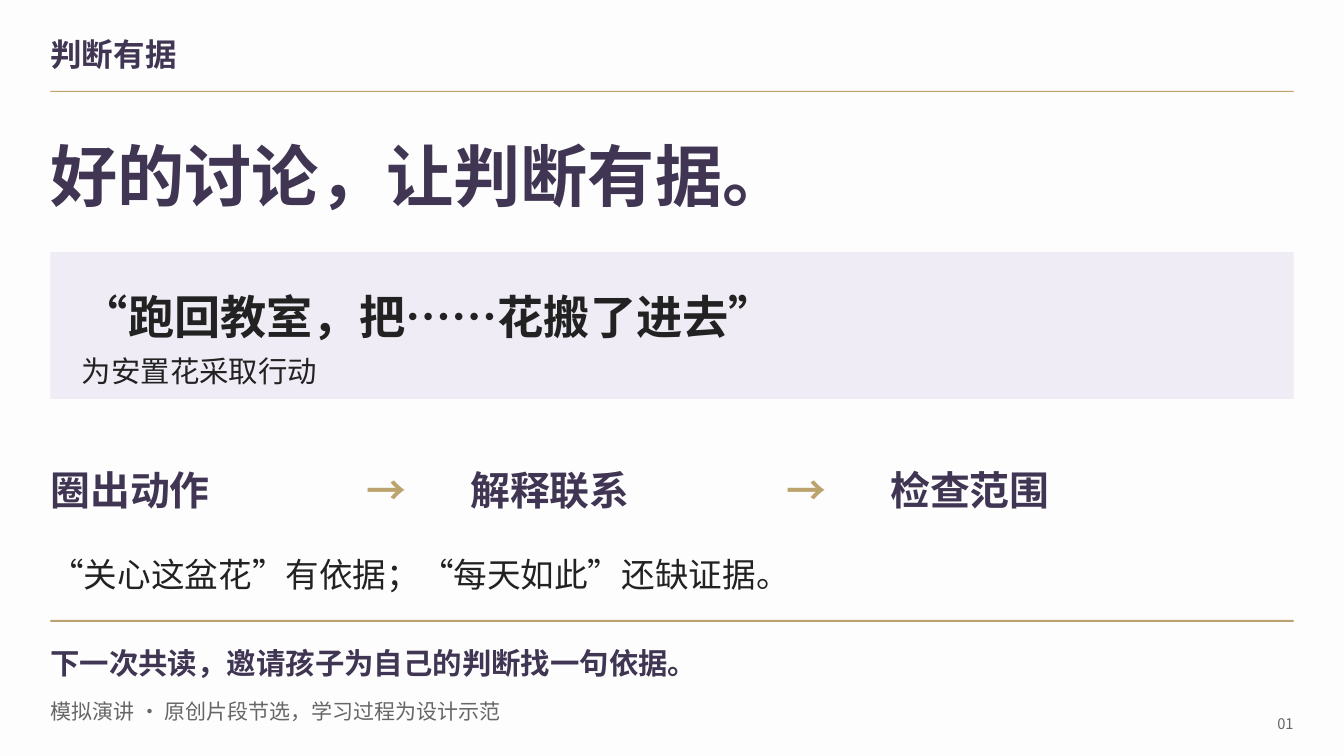
from lxml.etree import SubElement
from pptx import Presentation
from pptx.dml.color import RGBColor
from pptx.enum.lang import MSO_LANGUAGE_ID
from pptx.enum.shapes import MSO_SHAPE
from pptx.enum.text import MSO_ANCHOR, MSO_AUTO_SIZE, PP_ALIGN
from pptx.oxml.ns import qn
from pptx.util import Pt

PAPER = RGBColor(0xFD, 0xFD, 0xFE)
PLUM = RGBColor(0x40, 0x36, 0x53)
GOLD = RGBColor(0xBC, 0xA3, 0x6D)
LILAC = RGBColor(0xF0, 0xEC, 0xF5)
INK = RGBColor(0x22, 0x22, 0x22)
GREY = RGBColor(0x66, 0x66, 0x66)

FONT = "Noto Sans CJK SC"
LEADING = 1.35
LEFT, WIDTH = 36, 888
STEPS = ("圈出动作", "解释联系", "检查范围")


def set_values(target, values):
    for name, value in values.items():
        setattr(target, name, value)


def place(shape, left, top, width, height):
    set_values(shape, {"left": Pt(left), "top": Pt(top),
                       "width": Pt(width), "height": Pt(height)})


def write(box, text, size, color, bold=False, middle=False, align=PP_ALIGN.LEFT):
    frame = box.text_frame
    set_values(frame, {
        "margin_left": 0, "margin_top": 0, "margin_right": 0, "margin_bottom": 0,
        "word_wrap": True, "auto_size": MSO_AUTO_SIZE.NONE,
        "vertical_anchor": MSO_ANCHOR.MIDDLE if middle else MSO_ANCHOR.TOP,
    })
    para = frame.paragraphs[0]
    para.alignment = align
    if not middle:
        para.line_spacing = Pt(round(size * LEADING, 1))
    span = para.add_run()
    span.text = text
    set_values(span.font, {"name": FONT, "size": Pt(size), "bold": bold,
                           "language_id": MSO_LANGUAGE_ID.SIMPLIFIED_CHINESE})
    span.font.color.rgb = color
    SubElement(span.font._element, qn("a:ea"), typeface=FONT)


def add_text(page, area, *content, **style):
    box = page.shapes.add_textbox(*map(Pt, area))
    write(box, *content, **style)


def add_block(page, area, color):
    block = page.shapes.add_shape(MSO_SHAPE.RECTANGLE, *map(Pt, area))
    block.shadow.inherit = False
    block.fill.solid()
    block.fill.fore_color.rgb = color
    block.line.fill.background()


def add_header(page, left, top, width):
    add_block(page, (left, top + 42.5, width, 0.75), GOLD)
    add_text(page, (left, top, 757.5, 32.25), "判断有据", 22.5, PLUM, bold=True, middle=True)


def add_headline(page, left, top, width, height):
    title = page.shapes.title
    place(title, left, top, width, height)
    write(title, "好的讨论，让判断有据。", 48, PLUM, bold=True)


def add_quote(page, left, top, width, height):
    add_block(page, (left, top, width, height), LILAC)
    inner_left, inner_width = left + 22.5, width - 45
    add_text(page, (inner_left, top + 21, inner_width, 48.75),
             "“跑回教室，把……花搬了进去”", 33, INK, bold=True)
    add_text(page, (inner_left, top + 69, inner_width, 33), "为安置花采取行动", 21, INK)


def add_steps(page, left, top, width, height):
    pitch = 300
    for index, step in enumerate(STEPS):
        step_left = left + index * pitch
        last = index == len(STEPS) - 1
        step_width = left + width - step_left if last else 217.5
        add_text(page, (step_left, top, step_width, height), step, 28.5, PLUM, bold=True)
        if not last:
            add_text(page, (step_left + 226, top, 60, height), "→", 28.5, GOLD, bold=True)


def add_conclusion(page, left, top, width):
    add_text(page, (left, top, width, 36.75),
             "“关心这盆花”有依据；“每天如此”还缺证据。", 24, INK)
    add_block(page, (left, top + 51, width, 1.5), GOLD)
    add_text(page, (left, top + 65.5, width, 33),
             "下一次共读，邀请孩子为自己的判断找一句依据。", 21, PLUM, bold=True)


def add_footer(page, left, top, width):
    add_text(page, (left, top, 825, 24.5), "模拟演讲 · 原创片段节选，学习过程为设计示范", 15, GREY)
    add_text(page, (left + width - 31.5, top + 11, 31.5, 18), "01", 10.5, GREY,
             middle=True, align=PP_ALIGN.RIGHT)


def main():
    deck = Presentation()
    set_values(deck, {"slide_width": Pt(960), "slide_height": Pt(540)})
    page = deck.slides.add_slide(deck.slide_layouts[5])
    page.background.fill.solid()
    page.background.fill.fore_color.rgb = PAPER
    add_header(page, LEFT, 22.5, WIDTH)
    add_headline(page, LEFT, 88.5, WIDTH, 69)
    add_quote(page, LEFT, 180, WIDTH, 105)
    add_steps(page, LEFT, 328.5, WIDTH, 43)
    add_conclusion(page, LEFT, 391.75, WIDTH)
    add_footer(page, LEFT, 496.75, WIDTH)
    deck.save("out.pptx")


if __name__ == "__main__":
    main()
